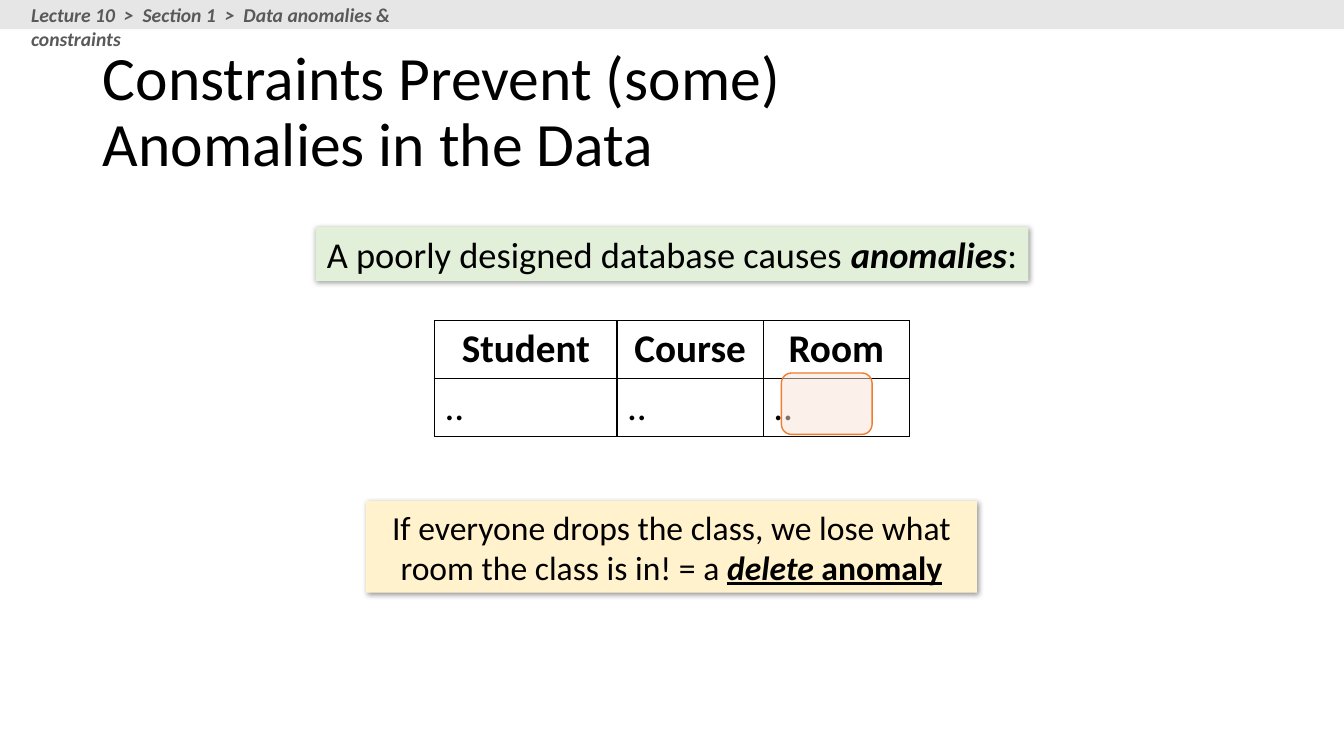
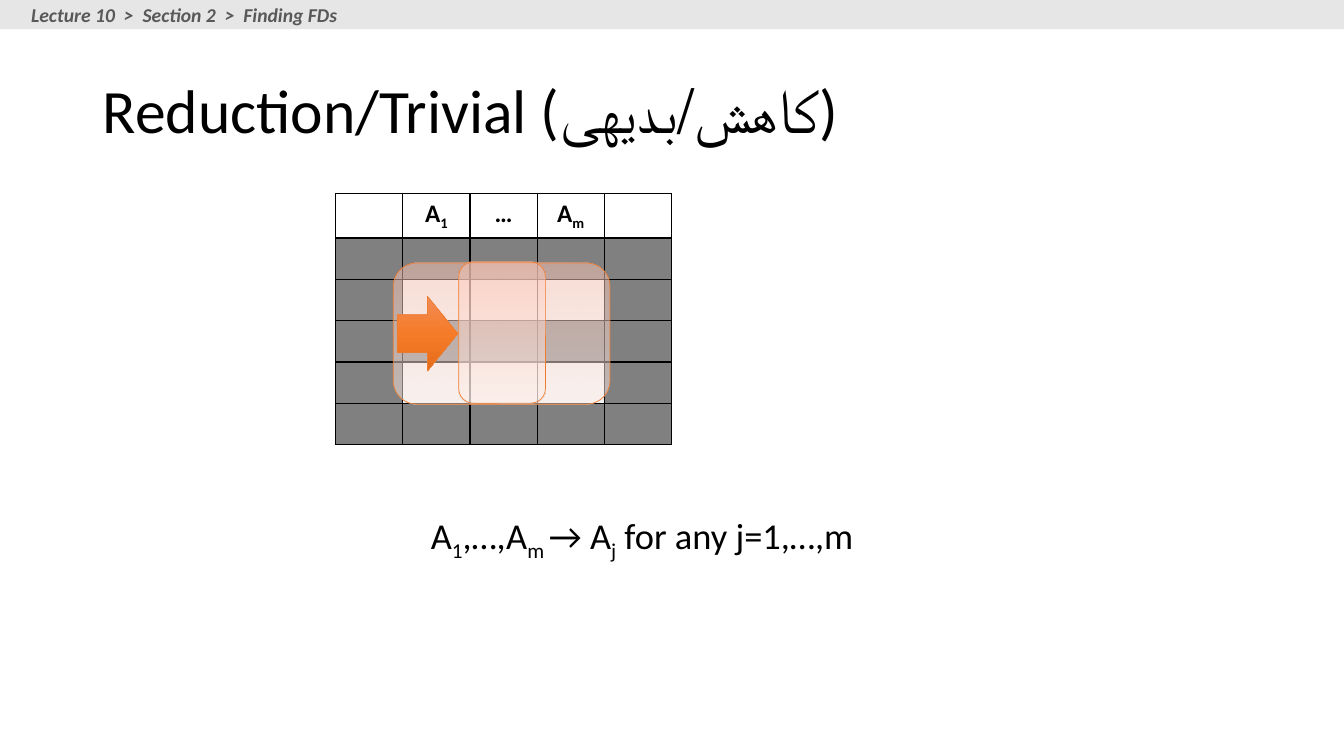
import dataclasses

import lxml.etree
import pptx
import pptx.dml.color
import pptx.enum.shapes
import pptx.enum.text
import pptx.oxml.ns
import pptx.util

Inches = pptx.util.Inches
Pt = pptx.util.Pt
Shape = pptx.enum.shapes.MSO_SHAPE
Align = pptx.enum.text.PP_ALIGN
Anchor = pptx.enum.text.MSO_ANCHOR
qn = pptx.oxml.ns.qn


@dataclasses.dataclass(frozen=True)
class Theme:
    """Colours, font and type sizes shared by all slides."""

    font: str = "Calibri"
    ink: str = "000000"
    band: str = "E7E6E6"
    trail: str = "595959"
    green: str = "E2F0D9"
    yellow: str = "FFF2CC"
    orange: str = "ED7D31"
    peach: str = "FBE5D6"
    dark_cell: str = "808080"
    light_cell: str = "F2F2F2"
    glow: tuple = ((0, "FFC7B6"), (35, "FFD7CB"), (100, "FFF0EB"))
    flame: tuple = ((0, "F18C57"), (50, "F67B28"), (100, "E56C19"))
    title_size: int = 44
    header_size: int = 28
    lead_size: int = 26
    note_size: int = 24
    cell_size: int = 18
    trail_size: int = 14


@dataclasses.dataclass(frozen=True)
class Box:
    """A rectangle in inches."""

    left: float
    top: float
    width: float
    height: float

    def within(self, left, top, width, height):
        """Return a box offset from this one's corner."""
        return Box(self.left + left, self.top + top, width, height)

    def lengths(self):
        """Return the four measures as lengths."""
        return [Inches(side) for side in dataclasses.astuple(self)]


THEME = Theme()
PAGE = Box(0, 0, 13.33, 7.5)


def rgb(value):
    """Return a colour from its hex value."""
    return pptx.dml.color.RGBColor.from_string(value)


def add_child(parent, tag, **attributes):
    """Append a drawing element and return it."""
    child = lxml.etree.SubElement(parent, qn(tag))
    for name, value in attributes.items():
        child.set(name, str(value))
    return child


def add_colour(parent, value, opacity=100):
    """Append a colour with the given opacity in percent."""
    colour = add_child(parent, "a:srgbClr", val=value)
    if opacity < 100:
        add_child(colour, "a:alpha", val=opacity * 1000)


def style_span(span, size, colour=THEME.ink, marks=""):
    """Format a run; marks are b, i, u and s for subscript."""
    font = span.font
    font.name, font.size = THEME.font, Pt(size)
    font.color.rgb = rgb(colour)
    font.bold, font.italic, font.underline = (mark in marks for mark in "biu")
    if "s" in marks:
        span._r.get_or_add_rPr().set("baseline", "-25000")


def write(para, spans, size, align=Align.CENTER, colour=THEME.ink):
    """Fill a paragraph with (text, marks) pairs."""
    para.alignment = align
    for text, marks in spans:
        span = para.add_run()
        span.text = text
        style_span(span, size, colour, marks)


def add_text(page, box, spans, size, align=Align.CENTER, colour=THEME.ink):
    """Place a wrapped text box."""
    frame = page.shapes.add_textbox(*box.lengths()).text_frame
    frame.word_wrap = True
    write(frame.paragraphs[0], spans, size, align, colour)


def add_panel(page, box, fill, kind=Shape.RECTANGLE):
    """Place a flat shape without outline."""
    panel = page.shapes.add_shape(kind, *box.lengths())
    panel.shadow.inherit = False
    panel.fill.solid()
    panel.fill.fore_color.rgb = rgb(fill)
    panel.line.fill.background()
    return panel


def add_outlined(page, box, kind, fill, weight):
    """Place a shape with an orange outline."""
    shape = add_panel(page, box, fill, kind)
    shape.line.color.rgb = rgb(THEME.orange)
    shape.line.width = Pt(weight)
    return shape


def add_gradient(page, box, kind, stops, opacity=100):
    """Place an outlined shape that shades from top to bottom."""
    shape = add_outlined(page, box, kind, THEME.peach, 0.5)
    shape.fill.gradient()
    shape.fill.gradient_angle = 270
    stop_list = shape._element.spPr.find(".//" + qn("a:gsLst"))
    for stop in list(stop_list):
        stop_list.remove(stop)
    for position, value in stops:
        add_colour(add_child(stop_list, "a:gs", pos=position * 1000), value, opacity)


def add_callout(page, box, fill, spans, size):
    """Place a tinted message with a soft shadow."""
    callout = add_panel(page, box, fill)
    effects = callout._element.spPr.find(qn("a:effectLst"))
    shadow = add_child(effects, "a:outerShdw", blurRad=Pt(4), dist=Pt(1),
                       dir=2700000, algn="tl", rotWithShape=0)
    add_colour(shadow, THEME.ink, 40)
    frame = callout.text_frame
    frame.word_wrap = True
    frame.margin_left = frame.margin_right = Inches(0.05)
    write(frame.paragraphs[0], spans, size)


def add_grid(page, box, widths, heights):
    """Place an unfilled table with thin black borders."""
    table = page.shapes.add_table(len(heights), len(widths), *box.lengths()).table
    table.first_row = table.horz_banding = False
    for column, width in zip(table.columns, widths):
        column.width = Inches(width)
    for row, height in zip(table.rows, heights):
        row.height = Inches(height)
    for cell in table.iter_cells():
        properties = cell._tc.get_or_add_tcPr()
        for side in "LRTB":
            border = add_child(properties, "a:ln" + side, w=Pt(1))
            add_colour(add_child(border, "a:solidFill"), THEME.ink)
        cell.fill.background()
    return table


def add_frame(deck, title, trail, trail_width):
    """Start a page with its title, band and breadcrumb."""
    page = deck.slides.add_slide(deck.slide_layouts[5])
    heading = page.shapes.title
    heading.left, heading.top, heading.width, heading.height = Box(0.92, 0.4, 11.5, 1.45).lengths()
    frame = heading.text_frame
    frame.text = title
    frame.word_wrap = True
    frame.auto_size = pptx.enum.text.MSO_AUTO_SIZE.NONE
    frame.vertical_anchor = Anchor.MIDDLE
    para = frame.paragraphs[0]
    para.alignment, para.line_spacing = Align.LEFT, 0.9
    for span in para.runs:
        style_span(span, THEME.title_size)
    add_panel(page, PAGE.within(0, 0, PAGE.width, 0.29), THEME.band)
    add_text(page, PAGE.within(0.21, -0.02, trail_width, 0.34),
             [("  >  ".join(trail), "bi")], THEME.trail_size, Align.LEFT, THEME.trail)
    return page


def add_course_table(page, box):
    """Place the course table and highlight its room value."""
    table = add_grid(page, box, [1.81, 1.45, 1.45], [box.height / 2] * 2)
    for column, name in enumerate(["Student", "Course", "Room"]):
        write(table.cell(0, column).text_frame.paragraphs[0], [(name, "b")], THEME.header_size)
        write(table.cell(1, column).text_frame.paragraphs[0], [("..", "")],
              THEME.header_size, Align.LEFT)
    mark = add_outlined(page, box.within(3.44, 0.52, 0.9, 0.61),
                        Shape.ROUNDED_RECTANGLE, THEME.peach, 1)
    colour = mark._element.spPr.find(qn("a:solidFill"))[0]
    add_child(colour, "a:alpha", val=50000)


def add_attribute_table(page, box):
    """Place the attribute table with the dependency drawn over it."""
    columns, rows = 5, 6
    table = add_grid(page, box, [box.width / columns] * columns, [0.44] + [0.41] * (rows - 1))
    headers = [[("A", "b"), ("1", "bs")], [("…", "b")], [("A", "b"), ("m", "bs")]]
    for column, spans in enumerate(headers, 1):
        write(table.cell(0, column).text_frame.paragraphs[0], spans, THEME.cell_size)
    for row in range(1, rows):
        for column in range(columns):
            light = row in (2, 4) and 0 < column < columns - 1
            fill = table.cell(row, column).fill
            fill.solid()
            fill.fore_color.rgb = rgb(THEME.light_cell if light else THEME.dark_cell)
    for area in (box.within(0.57, 0.69, 2.15, 1.4), box.within(1.22, 0.68, 0.86, 1.4)):
        add_gradient(page, area, Shape.ROUNDED_RECTANGLE, THEME.glow, 50)
    add_gradient(page, box.within(0.61, 1.02, 0.6, 0.74), Shape.RIGHT_ARROW, THEME.flame)


def build_anomalies(deck):
    """Build the page on anomalies and constraints."""
    page = add_frame(deck, "Constraints Prevent (some) \vAnomalies in the Data",
                     ["Lecture 10", "Section 1", "Data anomalies & constraints"], 4.67)
    add_course_table(page, Box(4.31, 3.18, 4.71, 1.15))
    add_callout(page, Box(3.63, 4.97, 6.06, 0.91), THEME.yellow,
                [("If everyone drops the class, we lose what room the class is in! = a ", ""),
                 ("delete", "biu"), (" anomaly", "bu")], THEME.note_size)
    add_callout(page, Box(3.13, 2.25, 7.07, 0.54), THEME.green,
                [("A poorly designed database causes ", ""), ("anomalies", "bi"), (":", "")],
                THEME.lead_size)


def build_reduction(deck):
    """Build the page on trivial dependencies."""
    page = add_frame(deck, "Reduction/Trivial (کاهش/بدیهی)",
                     ["Lecture 10", "Section 2", "Finding FDs"], 3.5)
    add_attribute_table(page, Box(3.33, 1.92, 3.33, 2.49))
    add_text(page, Box(3.5, 5.04, 5.74, 0.54),
             [("A", ""), ("1", "s"), (",…,A", ""), ("m ", "s"), ("→ A", ""), ("j", "s"),
              (" for any j=1,…,m", "")], THEME.lead_size)


def main():
    """Build and save the deck."""
    deck = pptx.Presentation()
    deck.slide_width, deck.slide_height = Inches(PAGE.width), Inches(PAGE.height)
    build_anomalies(deck)
    build_reduction(deck)
    deck.save("out.pptx")


if __name__ == "__main__":
    main()
